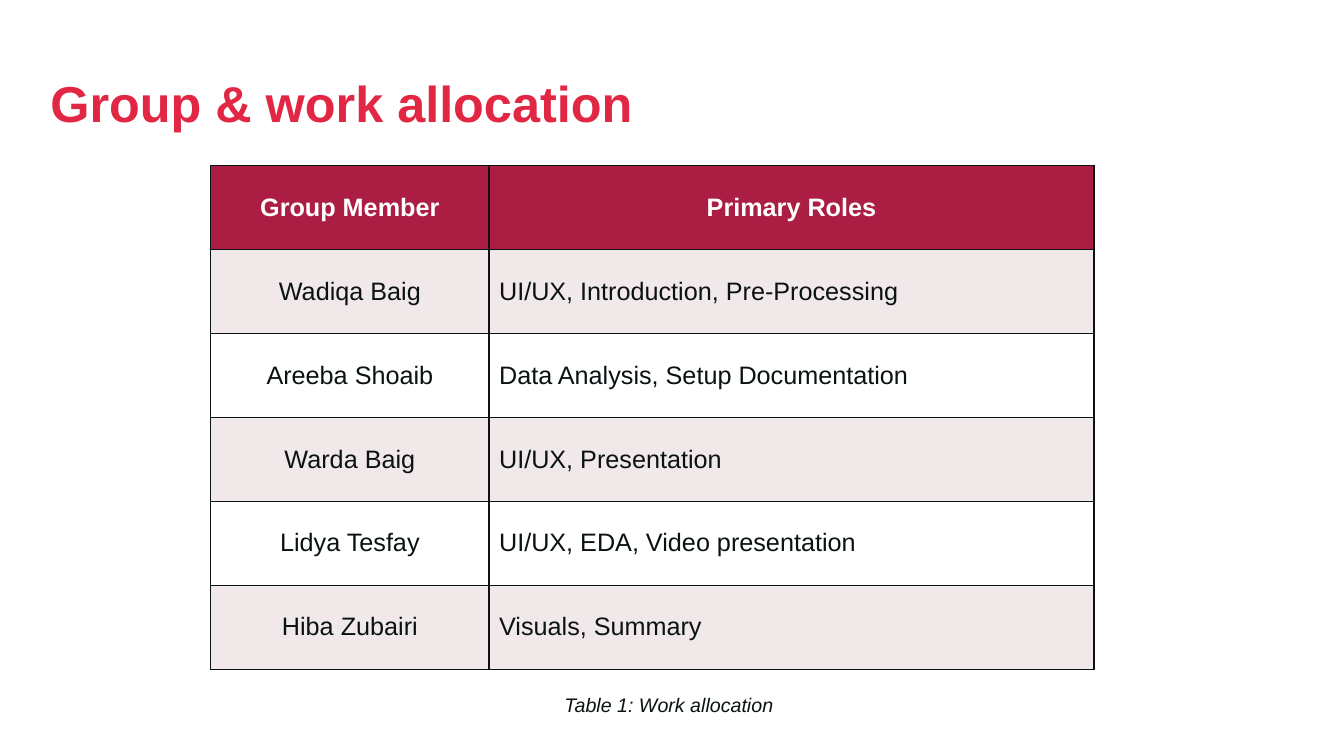
from lxml import etree
from pptx import Presentation
from pptx.dml.color import RGBColor as Rgb
from pptx.enum.text import MSO_ANCHOR as Anchor, PP_ALIGN as Align
from pptx.oxml.ns import qn
from pptx.util import Pt

EMU_PER_PX = 9144  # 100 px to the inch
FONT = "Arial"
COLORS = {
    "title": "E12744",
    "header": "AC1D43",
    "band": "F1E8E9",
    "white": "FFFFFF",
    "ink": "0B1213",
}
ALLOCATION = [
    ("Group Member", "Primary Roles"),
    ("Wadiqa Baig", "UI/UX, Introduction, Pre-Processing"),
    ("Areeba Shoaib", "Data Analysis, Setup Documentation"),
    ("Warda Baig", "UI/UX, Presentation"),
    ("Lidya Tesfay", "UI/UX, EDA, Video presentation"),
    ("Hiba Zubairi", "Visuals, Summary"),
]
COLUMN_WIDTHS = (276, 600)
TABLE_HEIGHT = 500


def px(length):
    return length * EMU_PER_PX


def style(paragraph, size, color, bold=False, italic=False, align=Align.LEFT):
    paragraph.alignment = align
    font = paragraph.font
    font.name, font.size = FONT, Pt(size)
    font.bold, font.italic = bold, italic
    font.color.rgb = Rgb.from_string(COLORS[color])


def add_text(slide, box, text, inset=None, anchor=Anchor.TOP):
    frame = slide.shapes.add_textbox(*map(px, box)).text_frame
    frame.word_wrap = True
    frame.vertical_anchor = anchor
    if inset is not None:
        frame.margin_left = frame.margin_right = px(inset)
        frame.margin_top = frame.margin_bottom = px(inset)
    paragraph = frame.paragraphs[0]
    paragraph.text = text
    return paragraph


def add_borders(cell, color):
    properties = cell._tc.get_or_add_tcPr()
    for position, side in enumerate(("lnL", "lnR", "lnT", "lnB")):
        line = etree.Element(qn(f"a:{side}"), w=str(Pt(1)))
        fill = etree.SubElement(line, qn("a:solidFill"))
        etree.SubElement(fill, qn("a:srgbClr"), val=COLORS[color])
        properties.insert(position, line)  # borders come before the fill


def fill_cell(cell, text, row, column):
    is_header = row == 0
    background = "header" if is_header else "band" if row % 2 else "white"
    cell.fill.solid()
    cell.fill.fore_color.rgb = Rgb.from_string(COLORS[background])
    cell.vertical_anchor = Anchor.MIDDLE
    cell.text = text
    style(
        cell.text_frame.paragraphs[0], 18,
        "white" if is_header else "ink",
        bold=is_header,
        align=Align.CENTER if is_header or column == 0 else Align.LEFT,
    )
    add_borders(cell, "ink")


def add_allocation_table(slide, left, top):
    table = slide.shapes.add_table(
        len(ALLOCATION), len(COLUMN_WIDTHS),
        px(left), px(top), px(sum(COLUMN_WIDTHS)), px(TABLE_HEIGHT),
    ).table
    for column, width in zip(table.columns, COLUMN_WIDTHS):
        column.width = px(width)
    for row, texts in enumerate(ALLOCATION):
        table.rows[row].height = px(TABLE_HEIGHT) // len(ALLOCATION)
        for column, text in enumerate(texts):
            fill_cell(table.cell(row, column), text, row, column)


def main():
    deck = Presentation()
    deck.slide_width, deck.slide_height = px(1333), px(750)
    slide = deck.slides.add_slide(deck.slide_layouts[6])

    # Title
    title = add_text(slide, (33, 33, 1107, 145), "Group & work allocation",
                     inset=17, anchor=Anchor.MIDDLE)
    title.line_spacing = 0.9
    style(title, 36, "title", bold=True)

    # Members and their roles
    add_allocation_table(slide, 209, 164)

    # Caption
    caption = add_text(slide, (550, 683, 233, 34), "Table 1: Work allocation")
    style(caption, 14, "ink", italic=True)

    deck.save("out.pptx")


if __name__ == "__main__":
    main()
